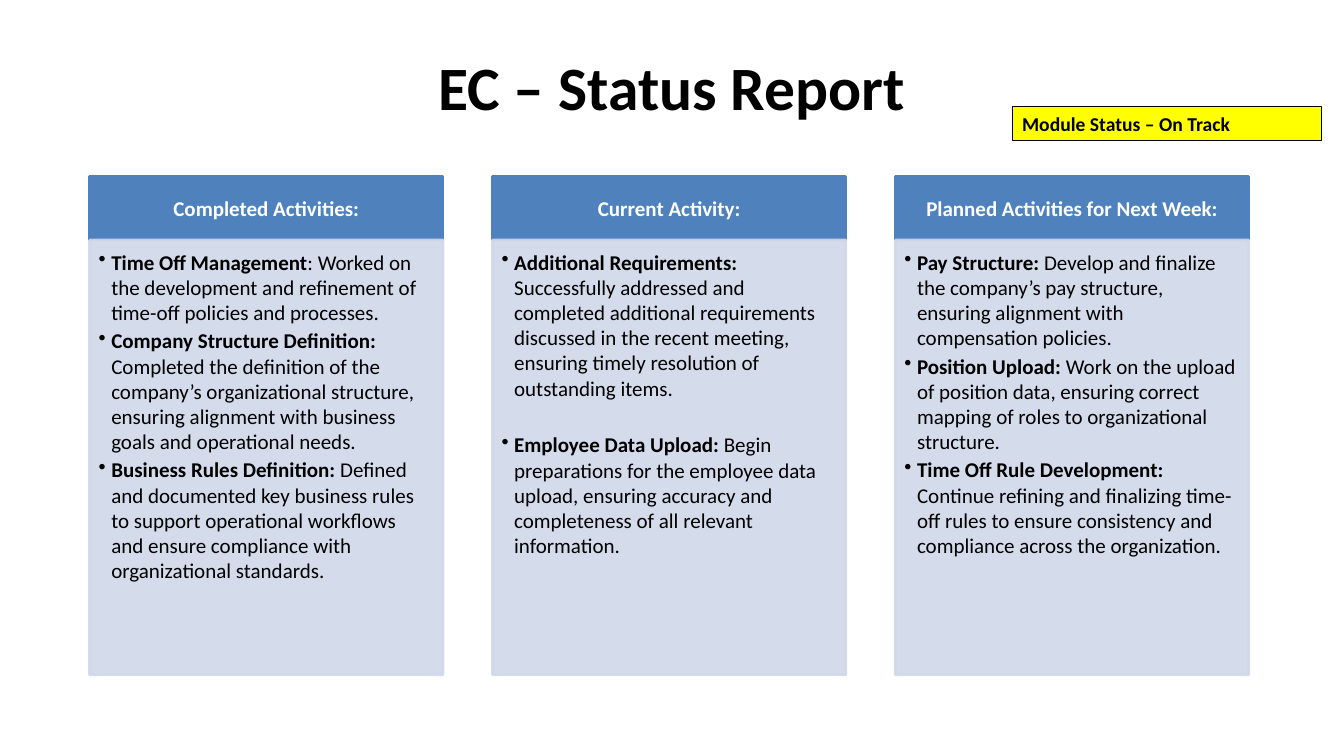
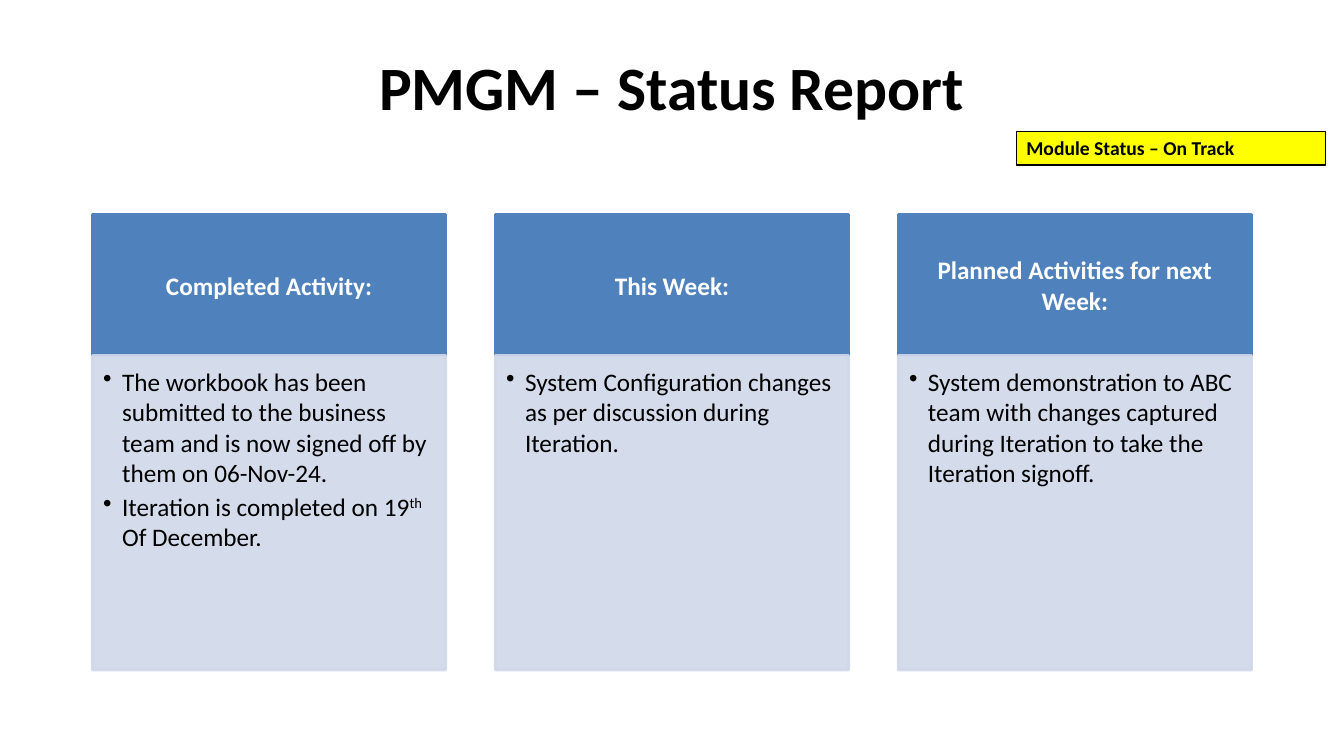
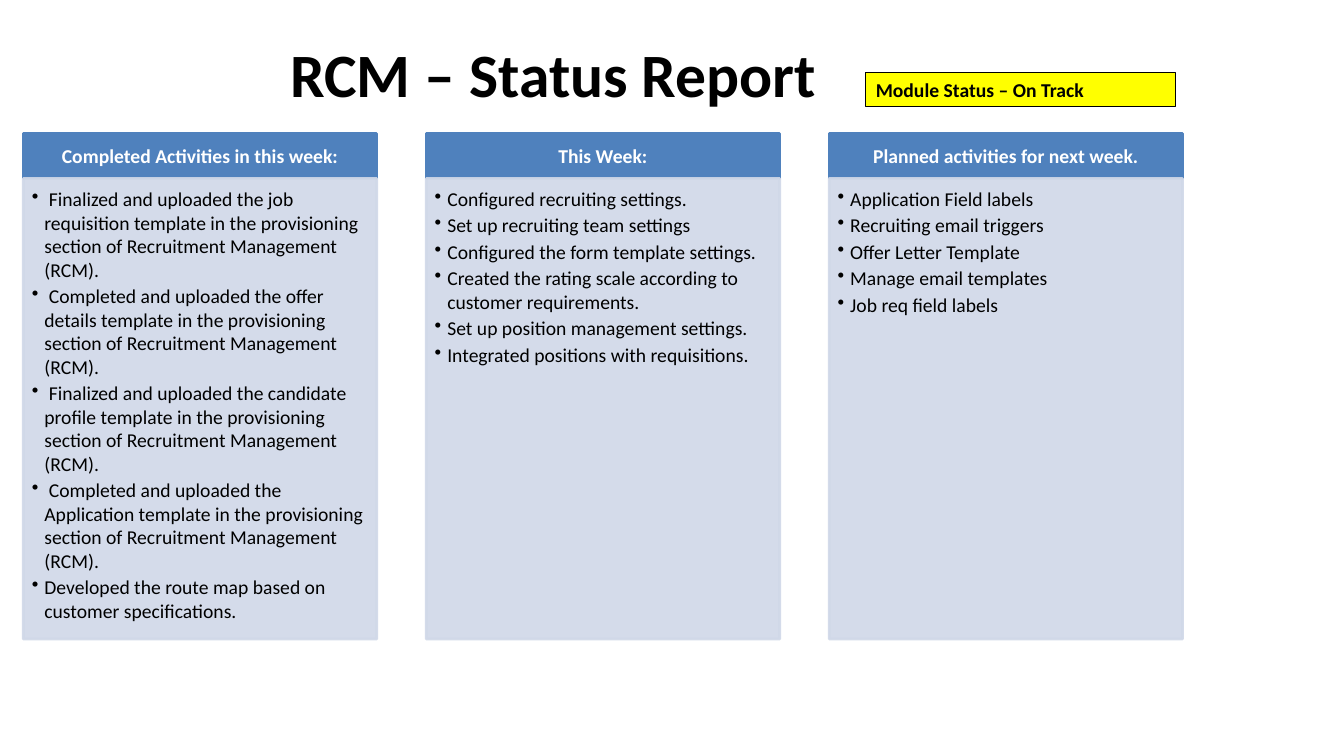
import dataclasses

import lxml.etree
import pptx
import pptx.dml.color
import pptx.enum.shapes
import pptx.enum.text
import pptx.oxml.ns
import pptx.util

Pt = pptx.util.Pt
ALIGN = pptx.enum.text.PP_ALIGN
ANCHOR = pptx.enum.text.MSO_ANCHOR
RECTANGLE = pptx.enum.shapes.MSO_SHAPE.RECTANGLE


@dataclasses.dataclass(frozen=True)
class Theme:
    font: str = "Calibri"
    text: str = "000000"
    head: str = "4F81BD"
    head_text: str = "FFFFFF"
    body: str = "D0D8E8"
    badge: str = "FFFF00"
    body_opacity: int = 90
    title_size: float = 44
    badge_size: float = 14


class StatusDeck:
    def __init__(self, theme):
        self.theme = theme
        self.presentation = pptx.Presentation()
        self.presentation.slide_width = Pt(960)
        self.presentation.slide_height = Pt(540)
        self.slide = None

    def new_slide(self):
        self.slide = self.presentation.slides.add_slide(self.presentation.slide_layouts[6])

    def style_run(self, run, size, color, bold=False):
        run.font.name = self.theme.font
        run.font.size = Pt(size)
        run.font.bold = bold
        run.font.color.rgb = pptx.dml.color.RGBColor.from_string(color)

    def write_line(self, text_frame, text, size, color, align):
        text_frame.word_wrap = True
        text_frame.text = text
        paragraph = text_frame.paragraphs[0]
        paragraph.alignment = align
        self.style_run(paragraph.runs[0], size, color, bold=True)

    def set_insets(self, text_frame, left, top, right, bottom):
        text_frame.margin_left, text_frame.margin_top = Pt(left), Pt(top)
        text_frame.margin_right, text_frame.margin_bottom = Pt(right), Pt(bottom)

    def box(self, left, top, width, height, fill, line, line_width):
        shape = self.slide.shapes.add_shape(RECTANGLE, Pt(left), Pt(top), Pt(width), Pt(height))
        shape.shadow.inherit = False
        shape.fill.solid()
        shape.fill.fore_color.rgb = pptx.dml.color.RGBColor.from_string(fill)
        shape.line.color.rgb = pptx.dml.color.RGBColor.from_string(line)
        shape.line.width = Pt(line_width)
        return shape

    def title(self, text, left, top):
        shape = self.slide.shapes.add_textbox(Pt(left), Pt(top), Pt(828), Pt(64))
        shape.text_frame.vertical_anchor = ANCHOR.MIDDLE
        self.write_line(shape.text_frame, text, self.theme.title_size, self.theme.text, ALIGN.CENTER)

    def badge(self, text, left, top):
        shape = self.box(left, top, 221, 24.3, self.theme.badge, self.theme.text, 0.75)
        self.write_line(shape.text_frame, text, self.theme.badge_size, self.theme.text, ALIGN.LEFT)

    def column_head(self, text, left, top, width, height, size):
        shape = self.box(left, top, width, height, self.theme.head, self.theme.head, 2)
        self.set_insets(shape.text_frame, 0.57 * size, 0.32 * size, 0.57 * size, 0.32 * size)
        self.write_line(shape.text_frame, text, size, self.theme.head_text, ALIGN.CENTER)

    def column_body(self, items, left, top, width, height, size, indent, item_gap):
        shape = self.box(left, top, width, height, self.theme.body, self.theme.body, 2)
        # Transparency of fill and outline
        for color in shape.fill._xPr.iter(pptx.oxml.ns.qn("a:srgbClr")):
            alpha = lxml.etree.SubElement(color, pptx.oxml.ns.qn("a:alpha"))
            alpha.set("val", str(self.theme.body_opacity * 1000))
        text_frame = shape.text_frame
        text_frame.word_wrap = True
        text_frame.vertical_anchor = ANCHOR.TOP
        self.set_insets(text_frame, 0.43 * size, 0.43 * size, 0.57 * size, 0.64 * size)
        for index, item in enumerate(items):
            paragraph = text_frame.add_paragraph() if index else text_frame.paragraphs[0]
            self.bullet(paragraph, item, size, indent, item_gap if index else 0)

    def bullet(self, paragraph, item, size, indent, space_before):
        paragraph.alignment = ALIGN.LEFT
        paragraph.space_before = Pt(space_before)
        paragraph.space_after = Pt(0.15 * size)
        properties = paragraph._p.get_or_add_pPr()
        properties.set("marL", str(Pt(indent)))
        properties.set("indent", str(-Pt(indent)))
        mark = lxml.etree.SubElement(properties, pptx.oxml.ns.qn("a:buChar"))
        mark.set("char", "•")
        # An item is plain text or a list of (text, style) pairs
        for text, style in [(item, "")] if isinstance(item, str) else item:
            run = paragraph.add_run()
            run.text = text
            self.style_run(run, size, self.theme.text, bold=style == "bold")
            if style == "superscript":
                run.font._element.set("baseline", "30000")

    def columns(self, columns, left, top, head_height, body_height, size, indent):
        width = 828 / 3.28
        for index, (head, items, item_gap) in enumerate(columns):
            column_left = left + index * 1.14 * width
            self.column_head(head, column_left, top, width, head_height, size)
            self.column_body(items, column_left, top + head_height, width, body_height,
                             size, indent, item_gap)


def lead(heading, text):
    return [(heading, "bold"), (text, "")]


def template_step(action):
    return f" {action} template in the provisioning section of Recruitment Management (RCM)."


# Each column: heading, bullets, extra space between bullets
EC_COLUMNS = [
    ("Completed Activities:", [
        lead("Time Off Management", ": Worked on the development and refinement of time-off "
             "policies and processes."),
        lead("Company Structure Definition:", " Completed the definition of the company’s "
             "organizational structure, ensuring alignment with business goals and operational needs."),
        lead("Business Rules Definition:", " Defined and documented key business rules to support "
             "operational workflows and ensure compliance with organizational standards."),
    ], 0),
    ("Current Activity:", [
        lead("Additional Requirements:", " Successfully addressed and completed additional "
             "requirements discussed in the recent meeting, ensuring timely resolution of "
             "outstanding items."),
        lead("Employee Data Upload:", " Begin preparations for the employee data upload, ensuring "
             "accuracy and completeness of all relevant information."),
    ], 20.3),
    ("Planned Activities for Next Week:", [
        lead("Pay Structure:", " Develop and finalize the company’s pay structure, ensuring "
             "alignment with compensation policies."),
        lead("Position Upload:", " Work on the upload of position data, ensuring correct mapping "
             "of roles to organizational structure."),
        lead("Time Off Rule Development:", " Continue refining and finalizing time-off rules to "
             "ensure consistency and compliance across the organization."),
    ], 0),
]

PMGM_COLUMNS = [
    ("Completed Activity:", [
        "The workbook has been submitted to the business team and is now signed off by them "
        "on 06-Nov-24.",
        [("Iteration is completed on 19", ""), ("th", "superscript"), (" Of December.", "")],
    ], 0),
    ("This Week:", ["System Configuration changes as per discussion during Iteration."], 0),
    ("Planned Activities for next Week:", [
        "System demonstration to ABC team with changes captured during Iteration to take the "
        "Iteration signoff.",
    ], 0),
]

RCM_COLUMNS = [
    ("Completed Activities in this week:", [
        template_step("Finalized and uploaded the job requisition"),
        template_step("Completed and uploaded the offer details"),
        template_step("Finalized and uploaded the candidate profile"),
        template_step("Completed and uploaded the Application"),
        "Developed the route map based on customer specifications.",
    ], 0),
    ("This Week:", [
        "Configured recruiting settings.",
        "Set up recruiting team settings",
        "Configured the form template settings.",
        "Created the rating scale according to customer requirements.",
        "Set up position management settings.",
        "Integrated positions with requisitions.",
    ], 0),
    ("Planned activities for next week.", [
        "Application Field labels",
        "Recruiting email triggers",
        "Offer Letter Template",
        "Manage email templates",
        "Job req field labels",
    ], 0),
]

# Each report: module, title place, badge place, columns, column layout
REPORTS = [
    ("EC", (66, 29), (723, 76.3), EC_COLUMNS,
     dict(left=64, top=126, head_height=45.5, body_height=310.5, size=15, indent=9)),
    ("PMGM", (66, 29), (726, 93.6), PMGM_COLUMNS,
     dict(left=66, top=153, head_height=101, body_height=224.5, size=18, indent=13.5)),
    ("RCM", (-18.7, 20.2), (618.5, 51.8), RCM_COLUMNS,
     dict(left=16.7, top=95.5, head_height=32, body_height=329, size=14, indent=9)),
]


def main():
    deck = StatusDeck(Theme())
    for module, title_place, badge_place, columns, layout in REPORTS:
        deck.new_slide()
        deck.title(f"{module} – Status Report", *title_place)
        deck.columns(columns, **layout)
        deck.badge("Module Status – On Track", *badge_place)
    deck.presentation.save("out.pptx")


if __name__ == "__main__":
    main()
